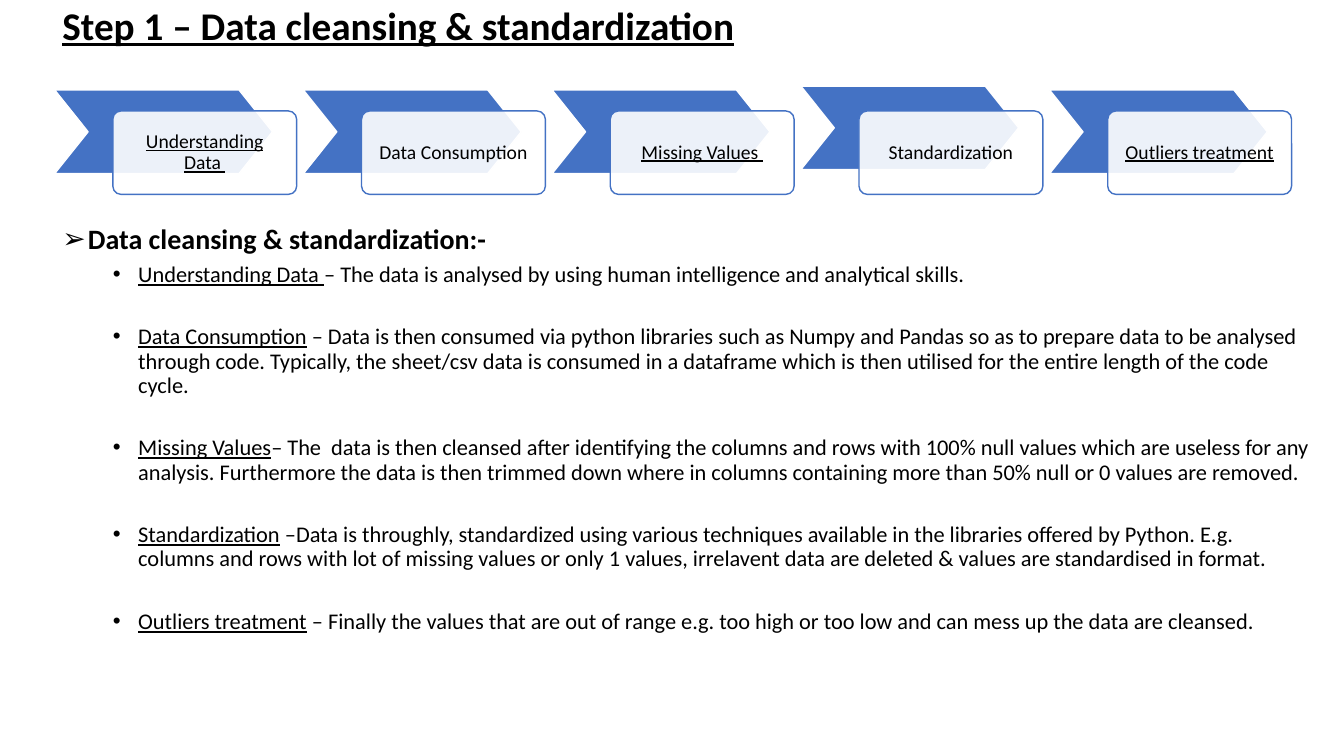
import pptx
import pptx.util
import pptx.dml.color
import pptx.enum.shapes
import pptx.enum.text
import lxml.etree
from dataclasses import dataclass
from pptx.oxml.ns import qn

Cm = pptx.util.Cm
Pt = pptx.util.Pt
Text = pptx.enum.text
Shape = pptx.enum.shapes.MSO_SHAPE


@dataclass(frozen=True)
class Theme:
    font: str = "Calibri"
    ink: str = "000000"
    blue: str = "4472C4"
    white: str = "FFFFFF"
    title: float = 28
    head: float = 20
    body: float = 16
    label: float = 14


theme = Theme()

STEPS = [
    ("Understanding Data ", True, 0),
    ("Data Consumption", False, 0),
    ("Missing Values ", True, 0),
    ("Standardization", False, 0.1),
    ("Outliers treatment", True, 0),
]

NOTES = [
    ("Understanding Data ", "– The data is analysed by using human intelligence and analytical skills."),
    ("Data Consumption", " – Data is then consumed via python libraries such as Numpy and Pandas "
     "so as to prepare data to be analysed through code. Typically, the sheet/csv data is consumed "
     "in a dataframe which is then utilised for the entire length of the code cycle."),
    ("Missing Values", "– The  data is then cleansed after identifying the columns and rows with "
     "100% null values which are useless for any analysis. Furthermore the data is then trimmed "
     "down where in columns containing more than 50% null or 0 values are removed."),
    ("Standardization", " –Data is throughly, standardized using various techniques available in "
     "the libraries offered by Python. E.g. columns and rows with lot of missing values or only "
     "1 values, irrelavent data are deleted & values are standardised in format."),
    ("Outliers treatment", " – Finally the values that are out of range e.g. too high or too low "
     "and can mess up the data are cleansed."),
]


def color(code):
    return pptx.dml.color.RGBColor.from_string(code)


def style(run, size, bold=False, under=False):
    font = run.font
    font.name, font.size = theme.font, Pt(size)
    font.bold, font.underline = bold, under
    font.color.rgb = color(theme.ink)


def place(item, left, top, width, height):
    item.left, item.top = Cm(left), Cm(top)
    item.width, item.height = Cm(width), Cm(height)


def bullet(para, mark, left, before):
    para.line_spacing = 0.9
    para.space_before = Pt(before)
    props = para._p.get_or_add_pPr()
    props.set("marL", str(Cm(left)))
    props.set("indent", str(-Cm(0.64)))
    lxml.etree.SubElement(props, qn("a:buFont")).set("typeface", "Arial")
    lxml.etree.SubElement(props, qn("a:buChar")).set("char", mark)


def draw(slide, kind, box, ratio, fill, line):
    item = slide.shapes.add_shape(kind, *map(Cm, box))
    item.adjustments[0] = ratio
    item.shadow.inherit = False
    item.fill.solid()
    item.fill.fore_color.rgb = color(fill)
    item.line.color.rgb = color(line)
    item.line.width = Pt(1)
    return item


def add_title(slide, left, top, width, height):
    title = slide.shapes.title
    place(title, left, top, width, height)
    frame = title.text_frame
    frame.text = "Step 1 – Data cleansing & standardization"
    frame.auto_size = Text.MSO_AUTO_SIZE.NONE
    frame.vertical_anchor = Text.MSO_ANCHOR.MIDDLE
    frame.margin_top = frame.margin_bottom = 0
    para = frame.paragraphs[0]
    para.alignment = Text.PP_ALIGN.LEFT
    para.line_spacing = 0.9
    style(para.runs[0], theme.title, True, True)


def add_step(slide, step, left, top, width, height):
    name, under, lift = step
    draw(slide, Shape.CHEVRON, (left, top - lift, width * 0.9, height * 0.8),
         0.4, theme.blue, theme.white)
    shift = width * 0.24
    card = draw(slide, Shape.ROUNDED_RECTANGLE,
                (left + shift, top + height * 0.2, width - shift, height * 0.8),
                0.1, theme.white, theme.blue)
    tint = card.fill._xPr.find(".//" + qn("a:srgbClr"))
    lxml.etree.SubElement(tint, qn("a:alpha")).set("val", "90000")
    frame = card.text_frame
    frame.word_wrap = True
    frame.vertical_anchor = Text.MSO_ANCHOR.MIDDLE
    frame.margin_left = frame.margin_right = Cm(0.28)
    frame.margin_top = frame.margin_bottom = Cm(0.28)
    frame.text = name
    para = frame.paragraphs[0]
    para.alignment = Text.PP_ALIGN.CENTER
    para.line_spacing = 0.9
    style(para.runs[0], theme.label, under=under)


def add_flow(slide, left, top, width, height):
    gap = 0.17
    size = (width - gap * (len(STEPS) - 1)) / len(STEPS)
    for i, step in enumerate(STEPS):
        add_step(slide, step, left + i * (size + gap), top, size, height)


def add_notes(slide, left, top, width, height):
    body = slide.placeholders[1]
    place(body, left, top, width, height)
    frame = body.text_frame
    frame.text = "Data cleansing & standardization:-"
    frame.auto_size = Text.MSO_AUTO_SIZE.NONE
    head = frame.paragraphs[0]
    bullet(head, "➢", 0.64, 10)
    style(head.runs[0], theme.head, True)
    for i, (term, note) in enumerate(NOTES):
        para = frame.add_paragraph()
        para.level = 1
        bullet(para, "•", 1.91, 27.5 if i else 5)
        for words, under in ((term, True), (note, False)):
            run = para.add_run()
            run.text = words
            style(run, theme.body, under=under)


def main():
    deck = pptx.Presentation()
    deck.slide_width, deck.slide_height = Cm(33.87), Cm(19.05)
    slide = deck.slides.add_slide(deck.slide_layouts[1])
    add_title(slide, 1.32, 0.1, 30.23, 1.2)
    add_notes(slide, 1.32, 5.56, 32.03, 13.41)
    add_flow(slide, 1.38, 2.27, 31.17, 2.63)
    deck.save("out.pptx")


if __name__ == "__main__":
    main()
